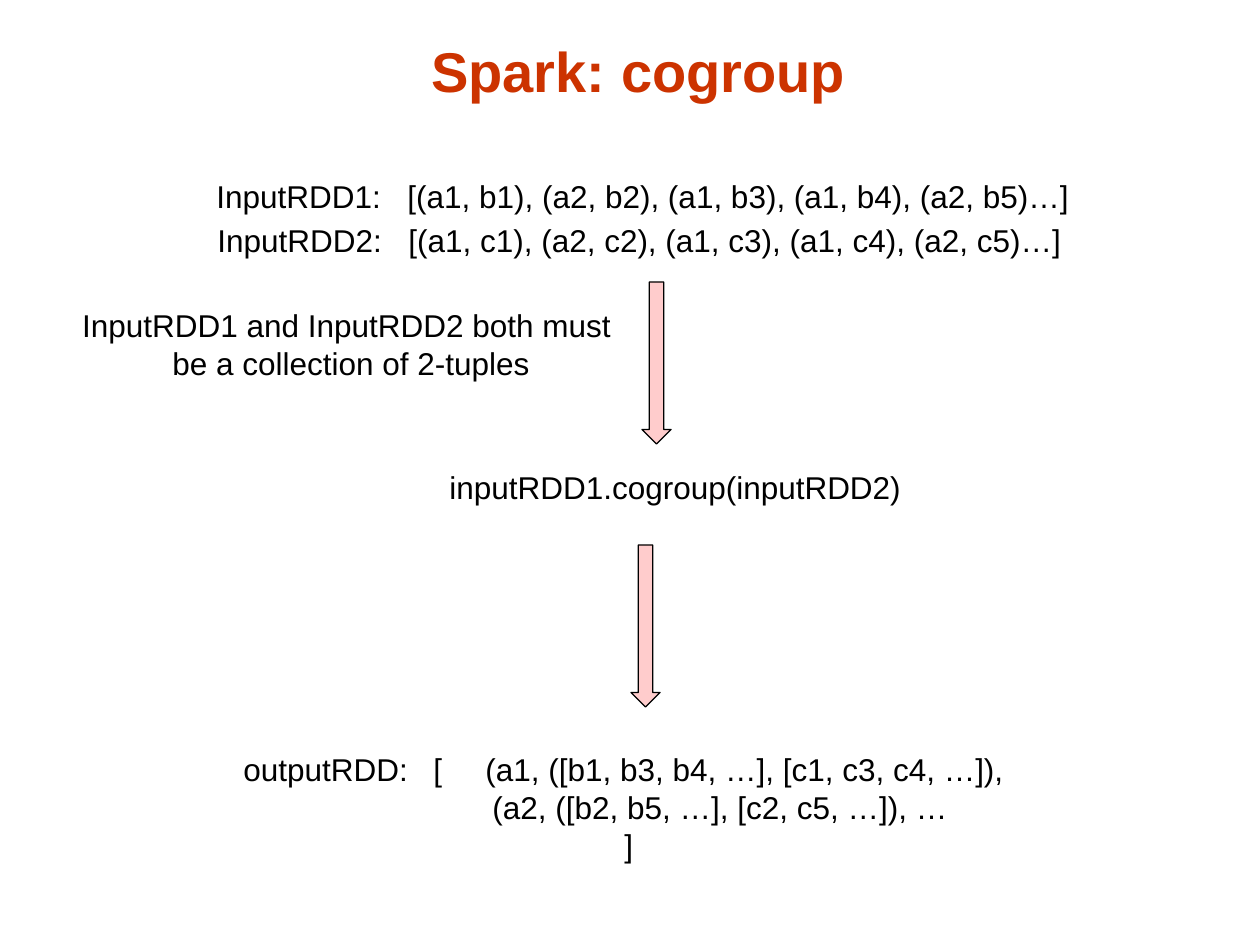
from dataclasses import dataclass

from lxml.etree import SubElement
from pptx import Presentation
from pptx.dml.color import RGBColor
from pptx.enum.shapes import MSO_SHAPE
from pptx.enum.text import MSO_ANCHOR, PP_ALIGN
from pptx.oxml.ns import qn
from pptx.util import Pt

PX = 914400 / 126  # EMU per px


@dataclass(frozen=True)
class Theme:
    font: str = "Arial"
    title_size: int = 32
    body_size: int = 18
    title: RGBColor = RGBColor(0xCC, 0x33, 0x00)
    ink: RGBColor = RGBColor(0, 0, 0)
    arrow: RGBColor = RGBColor(0xFF, 0xCC, 0xCC)


THEME = Theme()


def emu(*lengths):
    return [round(length * PX) for length in lengths]


def add_lines(box, lines, align=PP_ALIGN.LEFT):
    """Add a text box; each line is (text, left indent, tab stops)."""
    frame = slide.shapes.add_textbox(*emu(*box)).text_frame
    frame.word_wrap = True
    for number, (text, indent, stops) in enumerate(lines):
        line = frame.add_paragraph() if number else frame.paragraphs[0]
        line.alignment = align
        properties = line._p.get_or_add_pPr()
        if indent:
            properties.set("marL", str(emu(indent)[0]))
        if stops:
            tabs = SubElement(properties, qn("a:tabLst"))
            for stop in emu(*stops):
                SubElement(tabs, qn("a:tab"), pos=str(stop), algn="l")
        run = line.add_run()
        run.text = text
        run.font.name = THEME.font
        run.font.size = Pt(THEME.body_size)
        run.font.color.rgb = THEME.ink


deck = Presentation()
deck.slide_width, deck.slide_height = emu(1260, 945)
slide = deck.slides.add_slide(deck.slide_layouts[5])

# Title
title = slide.shapes.title
title.left, title.top, title.width, title.height = emu(82, 26, 1113, 84)
title.text_frame.vertical_anchor = MSO_ANCHOR.BOTTOM
heading = title.text_frame.paragraphs[0]
heading.alignment = PP_ALIGN.CENTER
heading_run = heading.add_run()
heading_run.text = "Spark: cogroup"
heading_run.font.name = THEME.font
heading_run.font.size = Pt(THEME.title_size)
heading_run.font.bold = True
heading_run.font.color.rgb = THEME.title

# Input collections
inputs = [
    "InputRDD1:\t[(a1, b1), (a2, b2), (a1, b3), (a1, b4), (a2, b5)…]",
    "InputRDD2:\t[(a1, c1), (a2, c2), (a1, c3), (a1, c4), (a2, c5)…]",
]
for row, collection in enumerate(inputs):
    add_lines((204 + row, 171 + 44 * row, 886, 50), [(collection, 0, [191])])

# Requirement on the inputs
add_lines(
    (67, 300, 568, 89),
    [("InputRDD1 and InputRDD2 both must ", 0, []),
     ("be a collection of 2-tuples", 0, [])],
    PP_ALIGN.CENTER,
)

# Operation
add_lines((437, 462, 481, 50), [("inputRDD1.cogroup(inputRDD2)", 0, [])])

# Arrows from inputs to operation to output
for left, top in [(642, 282), (631, 545)]:
    arrow = slide.shapes.add_shape(MSO_SHAPE.DOWN_ARROW, *emu(left, top, 29, 162))
    arrow.shadow.inherit = False
    arrow.fill.solid()
    arrow.fill.fore_color.rgb = THEME.arrow
    arrow.line.color.rgb = THEME.ink
    arrow.line.width = Pt(0.75)

# Output collection
add_lines(
    (231, 744, 803, 127),
    [("outputRDD:\t[\t(a1, ([b1, b3, b4, …], [c1, c3, c4, …]),", 0, [190, 242]),
     ("(a2, ([b2, b5, …], [c2, c5, …]), …", 249, []),
     ("]", 381, [])],
)

deck.save("out.pptx")
